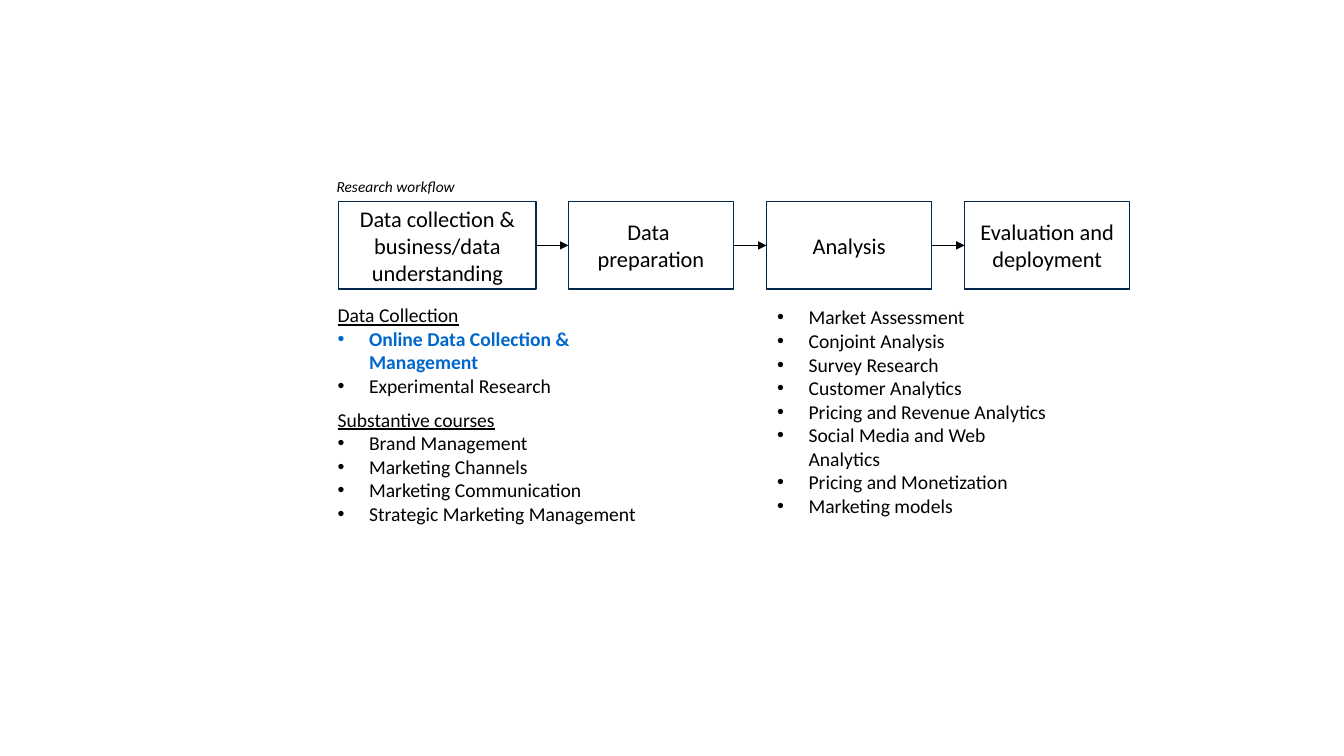
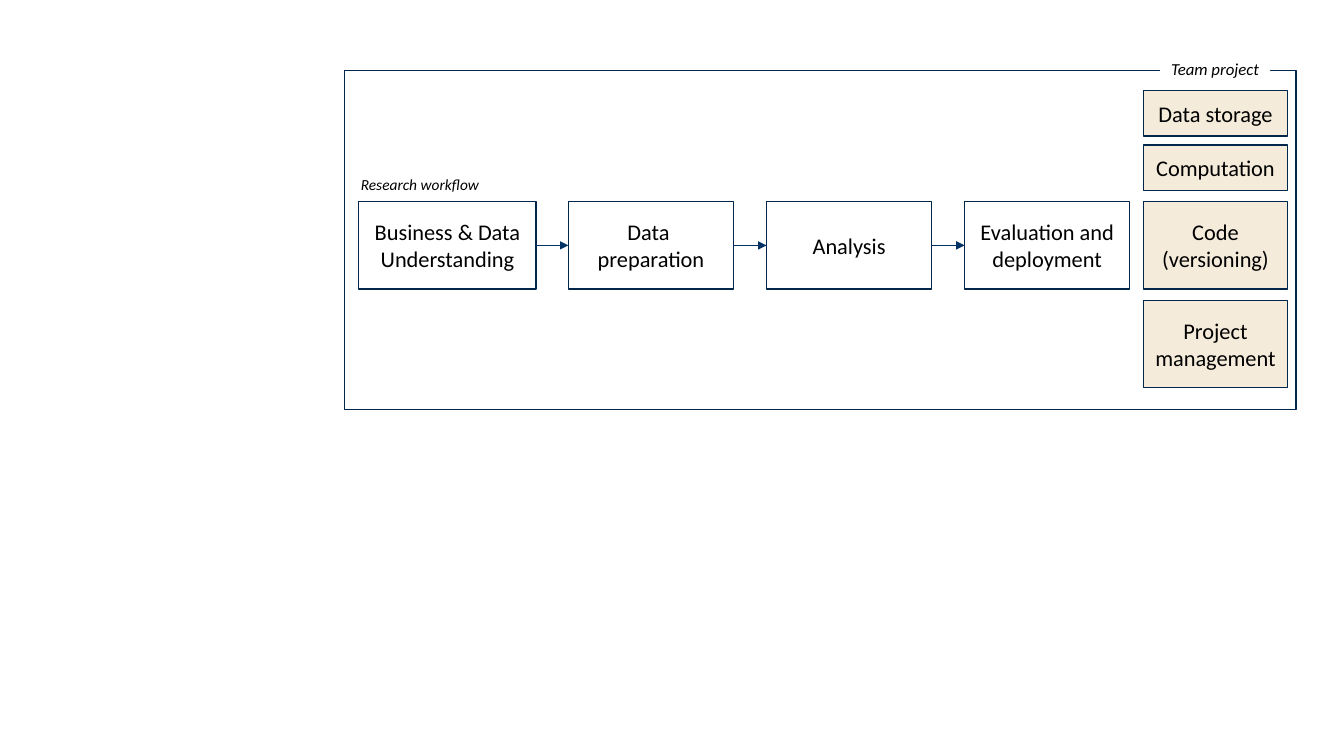
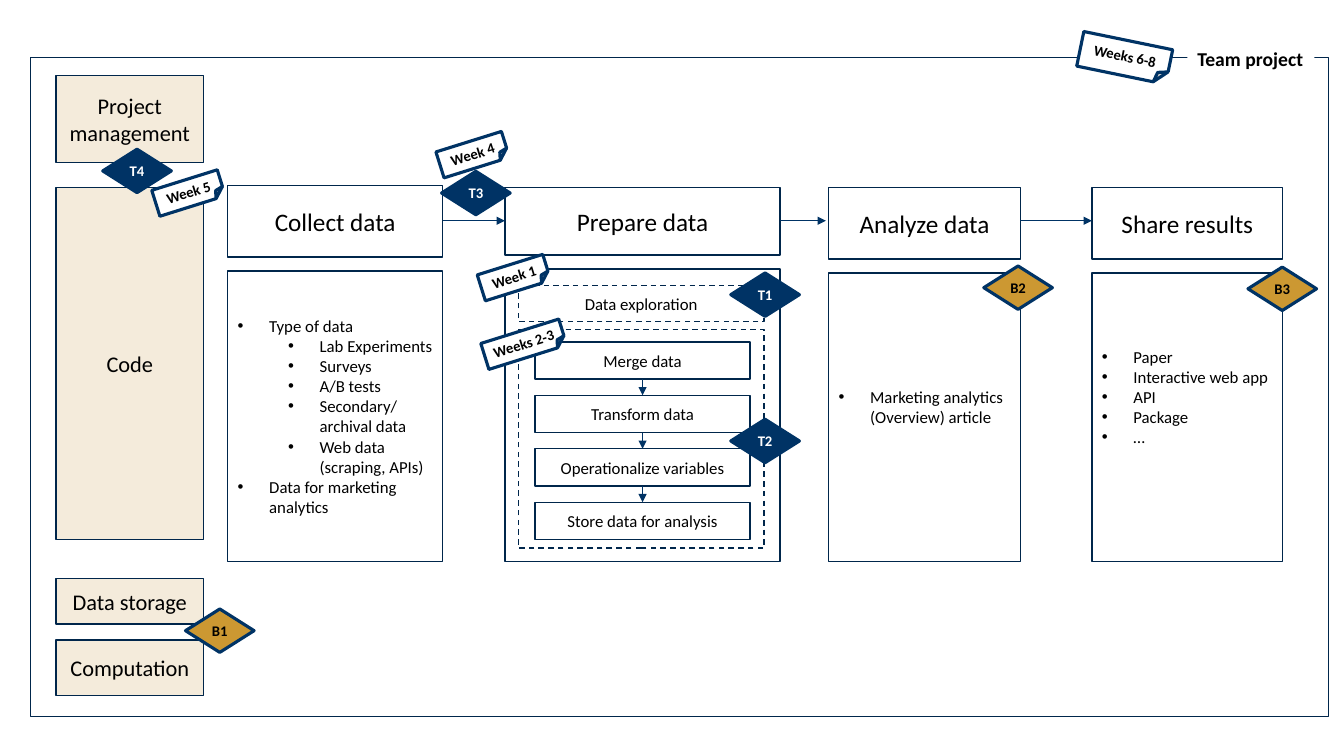
from lxml.etree import SubElement
from pptx import Presentation
from pptx.dml.color import RGBColor
from pptx.enum.dml import MSO_LINE
from pptx.enum.shapes import MSO_CONNECTOR, MSO_SHAPE
from pptx.enum.text import MSO_ANCHOR, PP_ALIGN
from pptx.oxml.ns import qn
from pptx.util import Pt

FONT = "Calibri"
BLACK, WHITE, SAND, GOLD = "000000", "FFFFFF", "F4EBDB", "CC9832"
EDGE, NAVY, BLUE = "00264B", "003365", "0067CB"
INDENT = 22.5
STEP_TOP, STEP_TALL = 144, 62.6


def tint(color):
    """Turn a hex string into a colour."""
    return RGBColor.from_string(color)


def bullet(para, level):
    """Give a paragraph a round bullet with a hanging indent."""
    para.level = level
    props = para._p.get_or_add_pPr()
    props.set("marL", str(Pt(INDENT + 36 * level)))
    props.set("indent", str(-Pt(INDENT)))
    SubElement(props, qn("a:buFont")).set("typeface", "Arial")
    SubElement(props, qn("a:buChar")).set("char", "•")


def text(shape, lines, align=PP_ALIGN.LEFT, anchor=MSO_ANCHOR.TOP, wrap=True,
         inset=(7.2, 3.6, 7.2, 3.6), **style):
    """Write lines, each a string or a (string, style changes) pair."""
    frame = shape.text_frame
    frame.word_wrap = wrap
    frame.vertical_anchor = anchor
    (frame.margin_left, frame.margin_top,
     frame.margin_right, frame.margin_bottom) = map(Pt, inset)
    for i, line in enumerate([lines] if isinstance(lines, str) else lines):
        words, change = (line, {}) if isinstance(line, str) else line
        look = {**style, **change}
        para = frame.paragraphs[0] if i == 0 else frame.add_paragraph()
        para.alignment = align
        if "before" in look:
            para.space_before = Pt(look["before"])
        if "level" in look:
            bullet(para, look["level"])
        run = para.add_run()
        run.text = words
        font = run.font
        font.name, font.size = FONT, Pt(look.get("size", 16))
        font.bold = look.get("bold", False)
        font.italic = look.get("italic", False)
        font.underline = look.get("under", False)
        font.color.rgb = tint(look.get("color", BLACK))


def note(slide, area, lines, **style):
    """Place a plain text box."""
    text(slide.shapes.add_textbox(*map(Pt, area)), lines, **style)


def box(slide, area, lines=(), kind=MSO_SHAPE.RECTANGLE, fill=None, line=EDGE,
        weight=1, dash=False, align=PP_ALIGN.CENTER, anchor=MSO_ANCHOR.MIDDLE,
        **style):
    """Place an outlined shape with centred text."""
    shape = slide.shapes.add_shape(kind, *map(Pt, area))
    shape.shadow.inherit = False
    if fill:
        shape.fill.solid()
        shape.fill.fore_color.rgb = tint(fill)
    else:
        shape.fill.background()
    if line:
        shape.line.color.rgb = tint(line)
        shape.line.width = Pt(weight)
    else:
        shape.line.fill.background()
    if dash:
        shape.line.dash_style = MSO_LINE.DASH
    text(shape, lines, align=align, anchor=anchor, **style)
    return shape


def arrow(slide, start, end, color=NAVY):
    """Draw a thin arrow between two points."""
    link = slide.shapes.add_connector(MSO_CONNECTOR.STRAIGHT,
                                      *map(Pt, start + end))
    link.line.color.rgb = tint(color)
    link.line.width = Pt(0.5)
    SubElement(link.line._get_or_add_ln(), qn("a:tailEnd")).set("type", "triangle")
    SubElement(link._element.spPr, qn("a:effectLst"))


def flow(slide, left, first, color):
    """Draw the four research steps; the first one starts at left."""
    pitch, width, start, end = 141.5, 118, 406, 383
    mid = STEP_TOP + STEP_TALL / 2
    box(slide, (left, STEP_TOP, end - left, STEP_TALL), first, fill=WHITE)
    steps = (["Data ", "preparation"], "Analysis", "Evaluation and deployment")
    for i, step in enumerate(steps):
        x = start + pitch * i
        box(slide, (x, STEP_TOP, width, STEP_TALL), step, fill=WHITE)
        arrow(slide, (end, mid), (x, mid), color)
        end = x + width


def project(slide, area, tag, **style):
    """Draw the team project frame with its label on the top edge."""
    box(slide, area, fill=WHITE)
    box(slide, tag, "Team project", fill=WHITE, line=None, wrap=False,
        anchor=MSO_ANCHOR.TOP, **style)


def tools(slide, left, width, rows):
    """Stack the sand boxes given as (label, top, height)."""
    for label, top, tall in rows:
        box(slide, (left, top, width, tall), label, fill=SAND)


def column(slide, area, label, items=(), foot=0):
    """Draw a stage head and the panel below it."""
    left, top, width, tall = area
    box(slide, area, label, size=18)
    under = top + tall + 10
    box(slide, (left, under, width, 401 - under), items, size=12, level=0,
        align=PP_ALIGN.LEFT, inset=(7.2, 3.6, 7.2, 3.6 + foot))


def prepare(slide, left, top, width):
    """Draw exploration and the chain of preparation steps in a panel."""
    edge, inner, tall, pitch = 9.5, 21.6, 26.6, 38.2
    wide = width - 2 * edge - 2
    box(slide, (left + edge, top + 11.6, wide, 26), "Data exploration",
        size=12, dash=True)
    box(slide, (left + edge, top + 43.2, wide, 156.2), dash=True)
    steps = ("Merge data", "Transform data", "Operationalize variables",
             "Store data for analysis")
    for i, step in enumerate(steps):
        y = top + 52 + pitch * i
        box(slide, (left + inner, y, width - 2 * inner, tall), step, size=12)
        if i:
            x = left + width / 2
            arrow(slide, (x, y - pitch + tall), (x, y))


def gem(slide, label, left, top):
    """Place a diamond: navy for T marks, gold for B marks."""
    fill, color = (NAVY, WHITE) if label[0] == "T" else (GOLD, BLACK)
    box(slide, (left, top, 49, 31), label, kind=MSO_SHAPE.DIAMOND, fill=fill,
        line=NAVY, weight=2.25, size=10.5, bold=True, color=color,
        inset=(0, 0, 0, 0))


def week(slide, label, left, top, width=49, tall=19.4, turn=342.6):
    """Place a tilted paper tag with a large folded corner."""
    tag = box(slide, (left, top, width, tall), label,
              kind=MSO_SHAPE.FOLDED_CORNER, fill=WHITE, line=NAVY, weight=2.25,
              size=10.5, bold=True, inset=(0, 5.8, 0, 0))
    tag.rotation = turn
    guides = tag._element.spPr.find(qn("a:prstGeom")).get_or_add_avLst()
    fold = SubElement(guides, qn("a:gd"))
    fold.set("name", "adj")
    fold.set("fmla", "val 35800")


def courses(slide):
    """Build the workflow with the courses for its steps."""
    flow(slide, 242, "Data collection & business/data understanding", BLACK)
    note(slide, (233.3, 123, 101, 21), "Research workflow", size=11,
         italic=True, wrap=False)
    item = {"level": 0}
    note(slide, (234, 213, 234, 167), [
        ("Data Collection", {"under": True}),
        ("Online Data Collection & Management",
         {"level": 0, "bold": True, "color": BLUE}),
        ("Experimental Research", item),
        ("Substantive courses", {"under": True, "before": 7.3}),
        ("Brand Management", item),
        ("Marketing Channels", item),
        ("Marketing Communication", item),
        ("Strategic Marketing Management", item)], size=14)
    note(slide, (548, 214.6, 210, 160), [
        "Market Assessment", "Conjoint Analysis", "Survey Research",
        "Customer Analytics", "Pricing and Revenue Analytics",
        "Social Media and Web Analytics", "Pricing and Monetization",
        "Marketing models"], size=14, level=0)


def team(slide):
    """Build the workflow inside the team project."""
    project(slide, (246.2, 50.4, 679.7, 242), (828.7, 38.2, 78.5, 21.6),
            size=12, italic=True)
    flow(slide, 256.3, "Business & Data Understanding", NAVY)
    tools(slide, 817, 102.5, [
        ("Data storage", 64.8, 32.4), ("Computation", 103.7, 32.4),
        ("Code (versioning)", STEP_TOP, STEP_TALL),
        ("Project management", 214.6, 62)])
    note(slide, (250.6, 121.7, 101, 21), "Research workflow", size=11,
         italic=True, wrap=False)


def plan(slide):
    """Build the project plan with stages, marks and weeks."""
    project(slide, (21.6, 41, 927.4, 471), (848.2, 30.2, 90.7, 24.5),
            size=14, bold=True, align=PP_ALIGN.LEFT)
    tools(slide, 40, 105.5, [
        ("Project management", 54, 62), ("Code", 134, 251.3),
        ("Data storage", 413.3, 32.4), ("Computation", 457.2, 39.6)])

    sub = {"level": 1}
    column(slide, (162.7, 132.5, 153.5, 51), "Collect data", [
        "Type of data", ("Lab Experiments", sub), ("Surveys", sub),
        ("A/B tests", sub), ("Secondary/archival data", sub),
        ("Web data (scraping, APIs)", sub), "Data for marketing analytics"])
    column(slide, (360.7, 134, 196.6, 48.2), "Prepare data")
    prepare(slide, 360.7, 192.2, 196.6)
    column(slide, (592, 134, 136.8, 51), "Analyze data",
           ["Marketing analytics (Overview) article"], foot=14.6)
    column(slide, (780, 134, 136.3, 51), "Share results",
           ["Paper", "Interactive web app", "API", "Package", "…"], foot=29.3)
    for start, end in ((316.2, 360.7), (557.3, 590), (728.8, 780)):
        arrow(slide, (start, 157.7), (end, 157.7))

    for mark in (("T1", 522, 195), ("T2", 522, 299.5), ("T3", 315.4, 122.4),
                 ("T4", 73.4, 106.6), ("B1", 132.5, 435), ("B2", 702.7, 190),
                 ("B3", 891.4, 190.8)):
        gem(slide, *mark)
    for tag in (("Week 1", 342.7, 188.6), ("Weeks 2-3", 345, 236.2, 58.3),
                ("Week 4", 313.2, 100.8), ("Week 5", 110.2, 128.2),
                ("Weeks 6-8", 771, 28.8, 64.8, 25.2, 11.6)):
        week(slide, *tag)


deck = Presentation()
deck.slide_width, deck.slide_height = Pt(960), Pt(540)
for build in (courses, team, plan):
    build(deck.slides.add_slide(deck.slide_layouts[6]))
deck.save("out.pptx")
